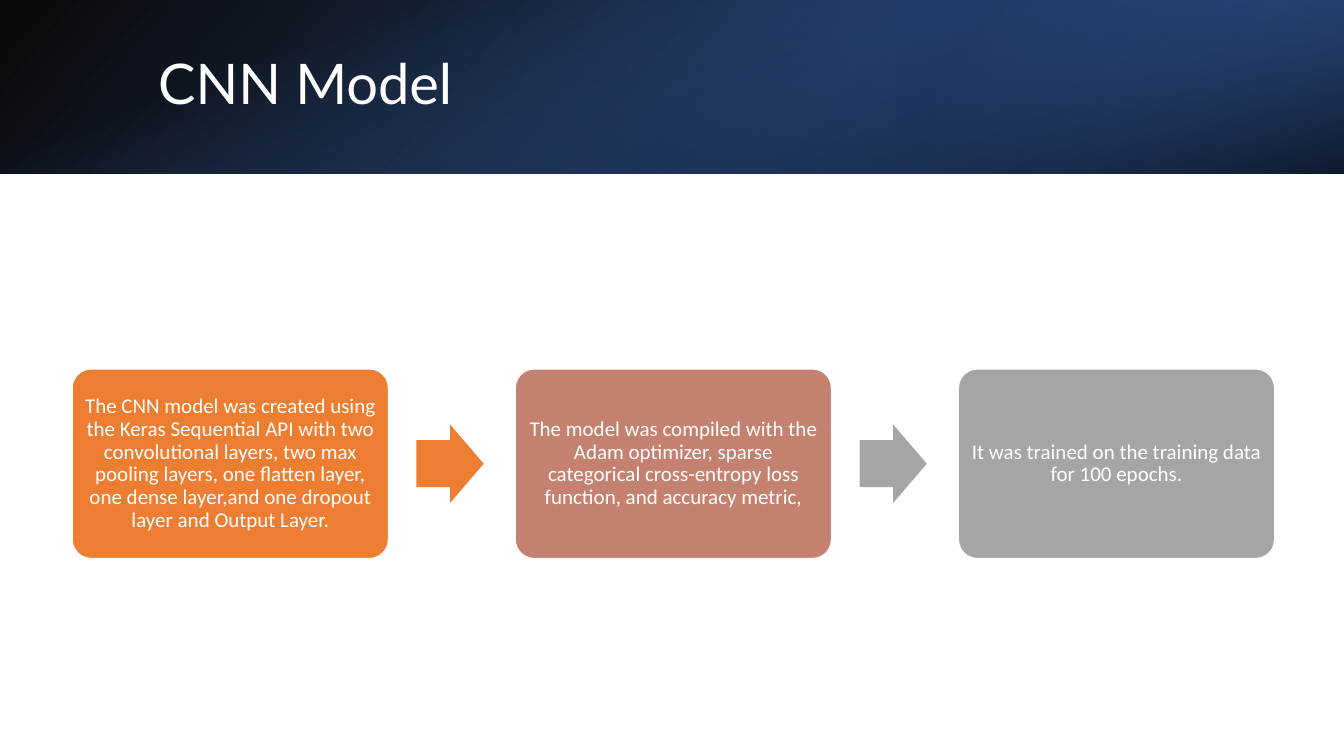
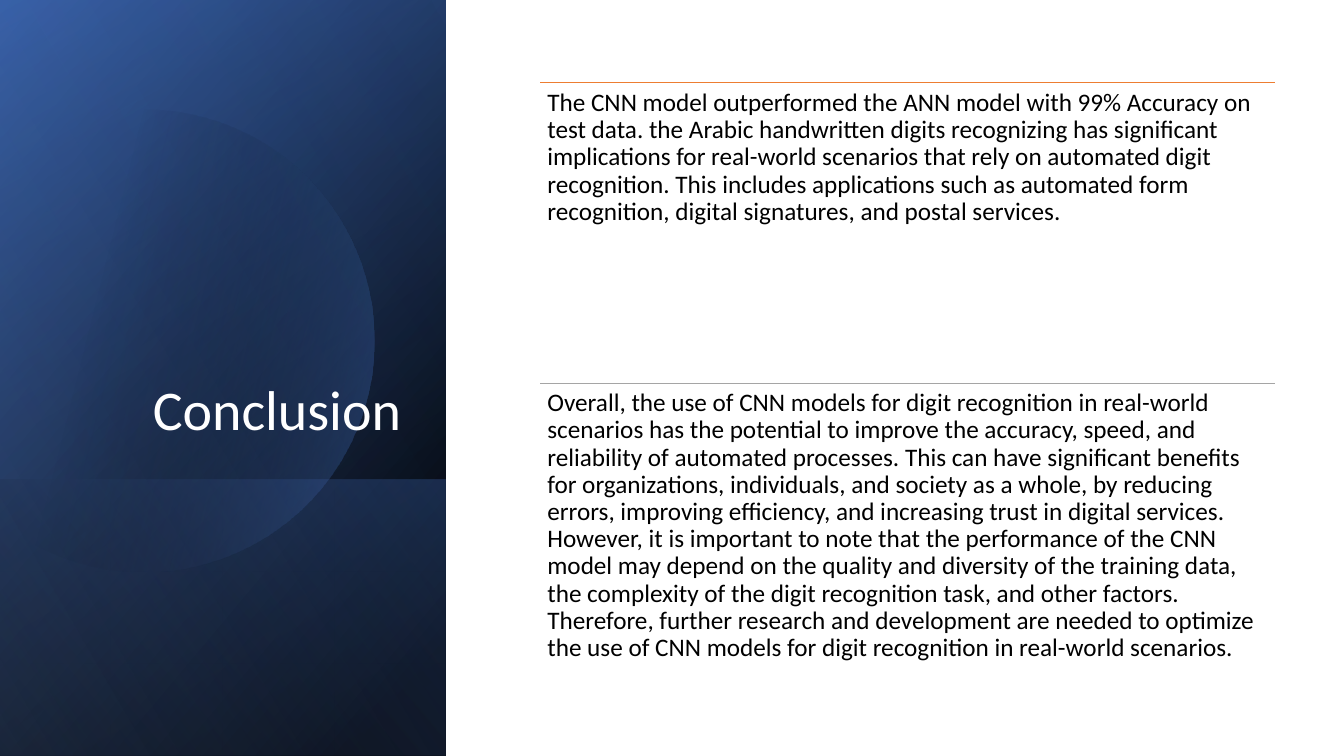
from dataclasses import dataclass
from math import acos, cos, sin

from pptx import Presentation
from pptx.dml.color import RGBColor
from pptx.enum.shapes import MSO_CONNECTOR, MSO_SHAPE
from pptx.enum.text import MSO_ANCHOR, MSO_AUTO_SIZE, PP_ALIGN
from pptx.oxml import parse_xml
from pptx.oxml.ns import nsdecls, qn
from pptx.util import Pt


@dataclass(frozen=True)
class Theme:
    white: str = "FFFFFF"
    black: str = "000000"
    blue: str = "4472C4"
    deep_blue: str = "2F5597"
    navy: str = "203864"
    pale_blue: str = "8FAADC"
    orange: str = "ED7D31"
    rose: str = "C48170"
    gray: str = "A5A5A5"
    title_font: str = "Lato"
    body_font: str = "Calibri"
    title_size: int = 40
    card_size: int = 15
    body_size: int = 18


theme = Theme()
rgb = RGBColor.from_string
WIDTH, HEIGHT = 960, 540


def fill_gradient(shape, stops, angle):
    """Fill a borderless shape; stops are (position, colour, opacity), both numbers in percent."""
    shape.shadow.inherit = False
    shape.line.fill.background()
    shape.fill.background()
    stop_xml = "".join(
        f'<a:gs pos="{position * 1000}"><a:srgbClr val="{colour}">'
        f'<a:alpha val="{opacity * 1000}"/></a:srgbClr></a:gs>'
        for position, colour, opacity in stops
    )
    gradient = parse_xml(
        f'<a:gradFill {nsdecls("a")} rotWithShape="1"><a:gsLst>{stop_xml}</a:gsLst>'
        f'<a:lin ang="{angle * 60000}" scaled="0"/></a:gradFill>'
    )
    properties = shape.element.spPr
    properties.replace(properties.find(qn("a:noFill")), gradient)


def write_text(shape, text, font, size, colour, align, anchor, inset):
    frame = shape.text_frame
    frame.word_wrap = True
    frame.auto_size = MSO_AUTO_SIZE.NONE
    frame.vertical_anchor = anchor
    frame.margin_left = frame.margin_right = Pt(inset)
    frame.margin_top = frame.margin_bottom = Pt(inset)
    paragraph = frame.paragraphs[0]
    paragraph.alignment = align
    paragraph.line_spacing = 0.9
    run = paragraph.add_run()
    run.text = text
    run.font.name = font
    run.font.size = Pt(size)
    run.font.color.rgb = rgb(colour)


presentation = Presentation()
presentation.slide_width, presentation.slide_height = Pt(WIDTH), Pt(HEIGHT)
title_only = presentation.slide_layouts[5]
model_slide = presentation.slides.add_slide(title_only)
conclusion_slide = presentation.slides.add_slide(title_only)

# Gradient panels: slide, box as seen, rotation, flipped, stops, angle
BAND_HEIGHT = 124
PANEL_WIDTH = 318.5
FOOT_TOP = 342.5
band = (0, 0, WIDTH, BAND_HEIGHT)
band_end = (WIDTH * 2 / 3, 0, WIDTH / 3, BAND_HEIGHT)
panel = (0, 0, PANEL_WIDTH, HEIGHT)
panel_foot = (0, FOOT_TOP, PANEL_WIDTH, HEIGHT - FOOT_TOP)
gradient_panels = [
    (model_slide, band, 0, True, [(0, theme.black, 96), (100, theme.deep_blue, 100)], 140),
    (model_slide, band_end, 180, True, [(19, theme.navy, 68), (100, theme.blue, 79)], 320),
    (model_slide, band, 90, False, [(23, theme.blue, 0), (99, theme.black, 74)], 340),
    (conclusion_slide, panel, 90, True, [(8, theme.black, 100), (100, theme.deep_blue, 100)], 50),
    (conclusion_slide, panel, 90, True, [(0, theme.black, 0), (99, theme.blue, 46)], 30),
    (conclusion_slide, panel_foot, 90, True, [(2, theme.blue, 29), (100, theme.black, 30)], 130),
    (conclusion_slide, panel, 90, True, [(0, theme.black, 0), (99, theme.pale_blue, 11)], 120),
]
for slide, (left, top, width, height), rotation, flipped, stops, angle in gradient_panels:
    if rotation == 90:
        left, top = left + (width - height) / 2, top + (height - width) / 2
        width, height = height, width
    shape = slide.shapes.add_shape(MSO_SHAPE.RECTANGLE, Pt(left), Pt(top), Pt(width), Pt(height))
    shape.rotation = rotation
    if flipped:
        shape.element.spPr.find(qn("a:xfrm")).set("flipH", "1")
    fill_gradient(shape, stops, angle)
top_sheen = shape

# Disc cut off by the left edge of the slide, below the last sheen
CENTER_X, CENTER_Y, RADIUS, STEPS = 102.5, 243.5, 165, 90
half_arc = acos(-CENTER_X / RADIUS)
arc_angles = [half_arc * (2 * step / STEPS - 1) for step in range(STEPS + 1)]
arc_points = [
    (Pt(CENTER_X + RADIUS * cos(turn)), Pt(CENTER_Y + RADIUS * sin(turn))) for turn in arc_angles
]
builder = conclusion_slide.shapes.build_freeform(*arc_points[0])
builder.add_line_segments(arc_points[1:], close=True)
disc = builder.convert_to_shape()
fill_gradient(disc, [(29, theme.black, 0), (100, theme.blue, 43)], 14)
top_sheen.element.addprevious(disc.element)

# Titles, brought in front of the panels
titles = [
    (model_slide, "CNN Model", (108, 27.5, 790.5, 69), theme.title_font,
     PP_ALIGN.LEFT, MSO_ANCHOR.MIDDLE),
    (conclusion_slide, "Conclusion", (46, 132.5, 245.5, 188.5), theme.body_font,
     PP_ALIGN.RIGHT, MSO_ANCHOR.BOTTOM),
]
for slide, text, box, font, align, anchor in titles:
    title = slide.shapes.title
    title.left, title.top, title.width, title.height = map(Pt, box)
    write_text(title, text, font, theme.title_size, theme.white, align, anchor, 5)
    title.element.getparent().append(title.element)

# Process cards with an arrow after each but the last
CARD_LEFT, CARD_TOP, CARD_WIDTH, CARD_HEIGHT, CARD_PITCH = 51.5, 263.5, 226, 135.5, 316.5
ARROW_OFFSET, ARROW_WIDTH, ARROW_HEIGHT = 246, 48, 56
cards = [
    ("The CNN model was created using the Keras Sequential API with two convolutional layers, "
     "two max pooling layers, one flatten layer, one dense layer,and one dropout layer and "
     "Output Layer.", theme.orange, theme.orange),
    ("The model was compiled with the Adam optimizer, sparse categorical cross-entropy loss "
     "function, and accuracy metric,", theme.rose, theme.gray),
    ("It was trained on the training data for 100 epochs.", theme.gray, None),
]
for index, (text, card_colour, arrow_colour) in enumerate(cards):
    left = CARD_LEFT + index * CARD_PITCH
    card = model_slide.shapes.add_shape(
        MSO_SHAPE.ROUNDED_RECTANGLE, Pt(left), Pt(CARD_TOP), Pt(CARD_WIDTH), Pt(CARD_HEIGHT))
    card.adjustments[0] = 0.1
    card.shadow.inherit = False
    card.fill.solid()
    card.fill.fore_color.rgb = rgb(card_colour)
    card.line.color.rgb = rgb(theme.white)
    card.line.width = Pt(1)
    write_text(card, text, theme.body_font, theme.card_size, theme.white,
               PP_ALIGN.CENTER, MSO_ANCHOR.MIDDLE, 4)
    if arrow_colour:
        arrow = model_slide.shapes.add_shape(
            MSO_SHAPE.RIGHT_ARROW, Pt(left + ARROW_OFFSET),
            Pt(CARD_TOP + (CARD_HEIGHT - ARROW_HEIGHT) / 2), Pt(ARROW_WIDTH), Pt(ARROW_HEIGHT))
        arrow.adjustments[0], arrow.adjustments[1] = 0.6, 0.5
        arrow.shadow.inherit = False
        arrow.fill.solid()
        arrow.fill.fore_color.rgb = rgb(arrow_colour)
        arrow.line.fill.background()

# Conclusions, each under a thin rule
TEXT_LEFT, TEXT_TOP, TEXT_WIDTH, TEXT_HEIGHT = 386, 59, 525, 214.5
conclusions = [
    ("The CNN model outperformed the ANN model with 99% Accuracy on test data. the Arabic "
     "handwritten digits recognizing has significant implications for real-world scenarios that "
     "rely on automated digit recognition. This includes applications such as automated form "
     "recognition, digital signatures, and postal services.", theme.orange),
    ("Overall, the use of CNN models for digit recognition in real-world scenarios has the "
     "potential to improve the accuracy, speed, and reliability of automated processes. This can "
     "have significant benefits for organizations, individuals, and society as a whole, by "
     "reducing errors, improving efficiency, and increasing trust in digital services. However, "
     "it is important to note that the performance of the CNN model may depend on the quality "
     "and diversity of the training data, the complexity of the digit recognition task, and "
     "other factors. Therefore, further research and development are needed to optimize the use "
     "of CNN models for digit recognition in real-world scenarios.", theme.gray),
]
for index, (text, rule_colour) in enumerate(conclusions):
    top = TEXT_TOP + index * TEXT_HEIGHT
    rule = conclusion_slide.shapes.add_connector(
        MSO_CONNECTOR.STRAIGHT, Pt(TEXT_LEFT), Pt(top), Pt(TEXT_LEFT + TEXT_WIDTH), Pt(top))
    rule.line.color.rgb = rgb(rule_colour)
    rule.line.width = Pt(0.5)
    rule.element.spPr.append(parse_xml(f'<a:effectLst {nsdecls("a")}/>'))
    text_box = conclusion_slide.shapes.add_textbox(
        Pt(TEXT_LEFT), Pt(top), Pt(TEXT_WIDTH), Pt(TEXT_HEIGHT))
    write_text(text_box, text, theme.body_font, theme.body_size, theme.black,
               PP_ALIGN.LEFT, MSO_ANCHOR.TOP, 5)

presentation.save("out.pptx")
